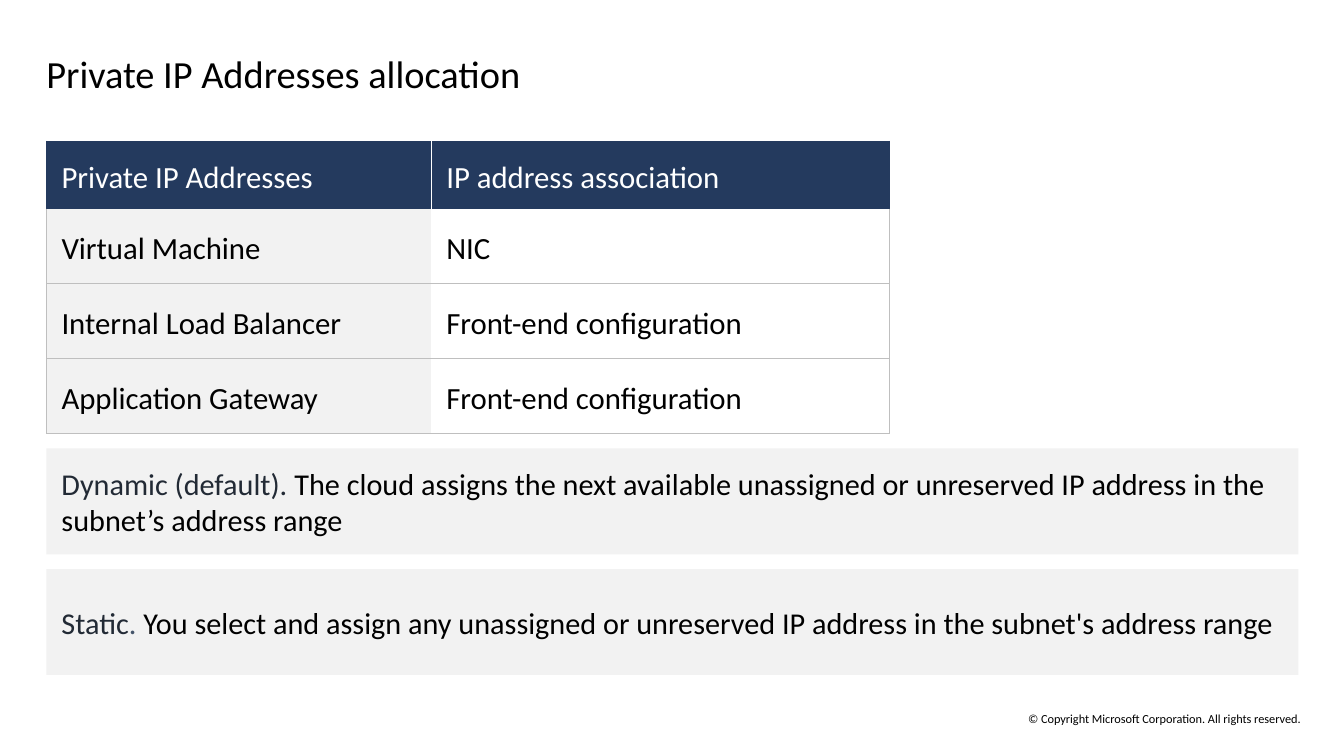
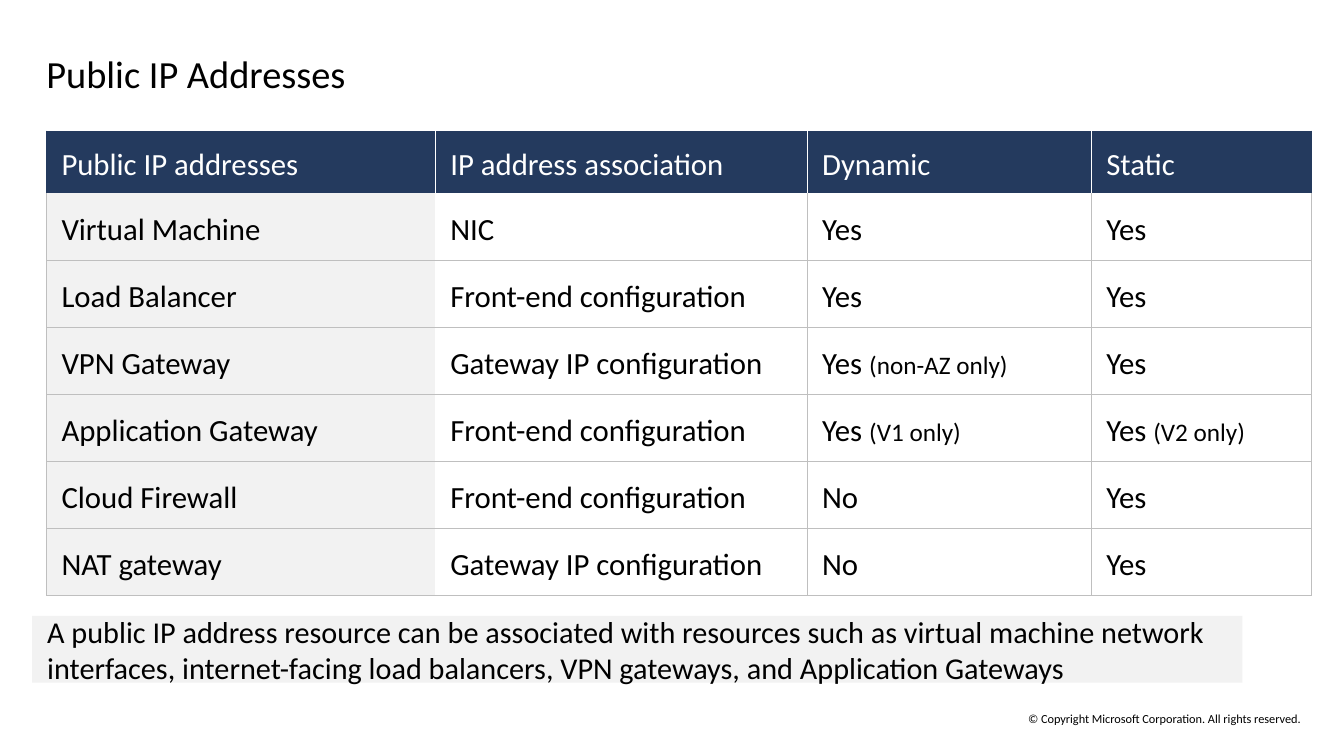
import pptx
import pptx.dml.color
import pptx.enum.shapes
import pptx.enum.text
import pptx.oxml
import pptx.oxml.ns
import pptx.util

Cm = pptx.util.Cm
Pt = pptx.util.Pt
ALIGN = pptx.enum.text.PP_ALIGN
MIDDLE = pptx.enum.text.MSO_ANCHOR.MIDDLE

FONT = "Calibri"
NAVY, SLATE, STEEL = "243A5E", "222A35", "44546A"
PALE, RULE, WHITE, BLACK = "F2F2F2", "BFBFBF", "FFFFFF", "000000"
LEFT = 1.17
PAD_X, PAD_Y = 0.38, 0.25
CELL_SIZE, NOTE_SIZE, BAR_SIZE = 22, 18, 21.6


def color(code):
    return pptx.dml.color.RGBColor.from_string(code)


def add_runs(para, runs):
    """Add (text, size, colour) runs to a paragraph."""
    for text, size, code in runs:
        run = para.add_run()
        run.text = text
        run.font.name = FONT
        run.font.size = Pt(size)
        run.font.color.rgb = color(code)


def set_frame(frame, pad_x, pad_y):
    frame.word_wrap = True
    frame.vertical_anchor = MIDDLE
    frame.margin_left = frame.margin_right = Cm(pad_x)
    frame.margin_top = frame.margin_bottom = Cm(pad_y)


def add_text(slide, box, runs):
    """Add an unpadded text box and return its paragraph."""
    frame = slide.shapes.add_textbox(*map(Cm, box)).text_frame
    set_frame(frame, 0, 0)
    para = frame.paragraphs[0]
    add_runs(para, runs)
    return para


def add_base(deck, title):
    """Add a blank slide with the shared title and footer."""
    slide = deck.slides.add_slide(deck.slide_layouts[6])
    head = add_text(slide, (LEFT, 1.3, 31.52, 1.12), [(title, 27.4, BLACK)])
    head.line_spacing = Pt(31.4)
    foot = "© Copyright Microsoft Corporation. All rights reserved."
    add_text(slide, (24.84, 17.93, 9.02, 0.38),
             [(foot, 8.8, BLACK)]).alignment = ALIGN.CENTER
    return slide


def add_bar(slide, box, runs):
    bar = slide.shapes.add_shape(
        pptx.enum.shapes.MSO_SHAPE.RECTANGLE, *map(Cm, box))
    bar.shadow.inherit = False
    bar.fill.solid()
    bar.fill.fore_color.rgb = color(PALE)
    bar.line.fill.background()
    set_frame(bar.text_frame, PAD_X, PAD_Y)
    para = bar.text_frame.paragraphs[0]
    para.alignment = ALIGN.LEFT
    add_runs(para, [(text, BAR_SIZE, code) for text, code in runs])


def side_color(row, edge, last):
    """Colour of a vertical cell edge, None where no line is drawn."""
    if row == 0:
        return NAVY if edge in (0, last) else WHITE
    return None if edge == 1 else RULE


def set_edges(cell, edges):
    """Draw left, right, top and bottom lines; None hides a line."""
    props = cell._tc.get_or_add_tcPr()
    for place, (side, code) in enumerate(zip("LRTB", edges)):
        paint = (f'<a:solidFill><a:srgbClr val="{code}"/></a:solidFill>'
                 if code else "<a:noFill/>")
        props.insert(place, pptx.oxml.parse_xml(
            f'<a:ln{side} {pptx.oxml.ns.nsdecls("a")} w="{Pt(0.5)}">'
            f'{paint}</a:ln{side}>'))


def fill_cell(cell, text, row, col, last):
    cell.vertical_anchor = MIDDLE
    cell.margin_left = cell.margin_right = Cm(PAD_X)
    cell.margin_top = cell.margin_bottom = Cm(PAD_Y)
    if row == 0 or col == 0:
        cell.fill.solid()
        cell.fill.fore_color.rgb = color(PALE if row else NAVY)
    else:
        cell.fill.background()
    top = {0: NAVY, 1: None}.get(row, RULE)
    set_edges(cell, (side_color(row, col, last),
                     side_color(row, col + 1, last),
                     top, RULE if row else None))
    ink = BLACK if row else WHITE
    main, mark, note = text.partition("(")
    para = cell.text_frame.paragraphs[0]
    para.line_spacing = 1.15
    add_runs(para, [(main, CELL_SIZE, ink)])
    if note:
        add_runs(para, [(mark + note, NOTE_SIZE, ink)])


def add_grid(slide, top, widths, heights, rows):
    """Add a table; heights are (header row, body row)."""
    tall = [heights[0]] + [heights[1]] * (len(rows) - 1)
    table = slide.shapes.add_table(
        len(rows), len(widths), Cm(LEFT), Cm(top),
        Cm(sum(widths)), Cm(sum(tall))).table
    table.first_row = table.horz_banding = False
    for col, width in enumerate(widths):
        table.columns[col].width = Cm(width)
    for row, texts in enumerate(rows):
        table.rows[row].height = Cm(tall[row])
        for col, text in enumerate(texts):
            fill_cell(table.cell(row, col), text, row, col, len(widths))


def add_private(deck):
    slide = add_base(deck, "Private IP Addresses allocation")
    add_grid(slide, 3.56, (9.7, 11.53), (1.7, 1.89), [
        ("Private IP Addresses", "IP address association"),
        ("Virtual Machine", "NIC"),
        ("Internal Load Balancer", "Front-end configuration"),
        ("Application Gateway", "Front-end configuration"),
    ])
    bars = [
        [("Dynamic (default). ", SLATE),
         ("The cloud assigns the next available unassigned or unreserved "
          "IP address in the subnet’s address range", BLACK)],
        [("Static", SLATE), (". ", STEEL),
         ("You select and assign any unassigned or unreserved IP address "
          "in the subnet's address range", BLACK)],
    ]
    for place, runs in enumerate(bars):
        add_bar(slide, (LEFT, 11.3 + place * 3.04, 31.55, 2.67), runs)


def add_public(deck):
    slide = add_base(deck, "Public IP Addresses")
    add_grid(slide, 3.3, (9.8, 9.37, 7.16, 5.54), (1.57, 1.69), [
        ("Public IP addresses", "IP address association",
         "Dynamic", "Static"),
        ("Virtual Machine", "NIC", "Yes", "Yes"),
        ("Load Balancer", "Front-end configuration", "Yes", "Yes"),
        ("VPN Gateway", "Gateway IP configuration",
         "Yes (non-AZ only)", "Yes"),
        ("Application Gateway", "Front-end configuration",
         "Yes (V1 only)", "Yes (V2 only)"),
        ("Cloud Firewall", "Front-end configuration", "No", "Yes"),
        ("NAT gateway", "Gateway IP configuration", "No", "Yes"),
    ])
    add_bar(slide, (0.81, 15.52, 30.5, 1.68), [
        ("A public IP address resource can be associated with resources "
         "such as virtual machine network interfaces, internet-facing load "
         "balancers, VPN gateways, and Application Gateways", BLACK)])


def main():
    deck = pptx.Presentation()
    deck.slide_width, deck.slide_height = Cm(33.87), Cm(19.05)
    add_private(deck)
    add_public(deck)
    deck.save("out.pptx")


if __name__ == "__main__":
    main()
